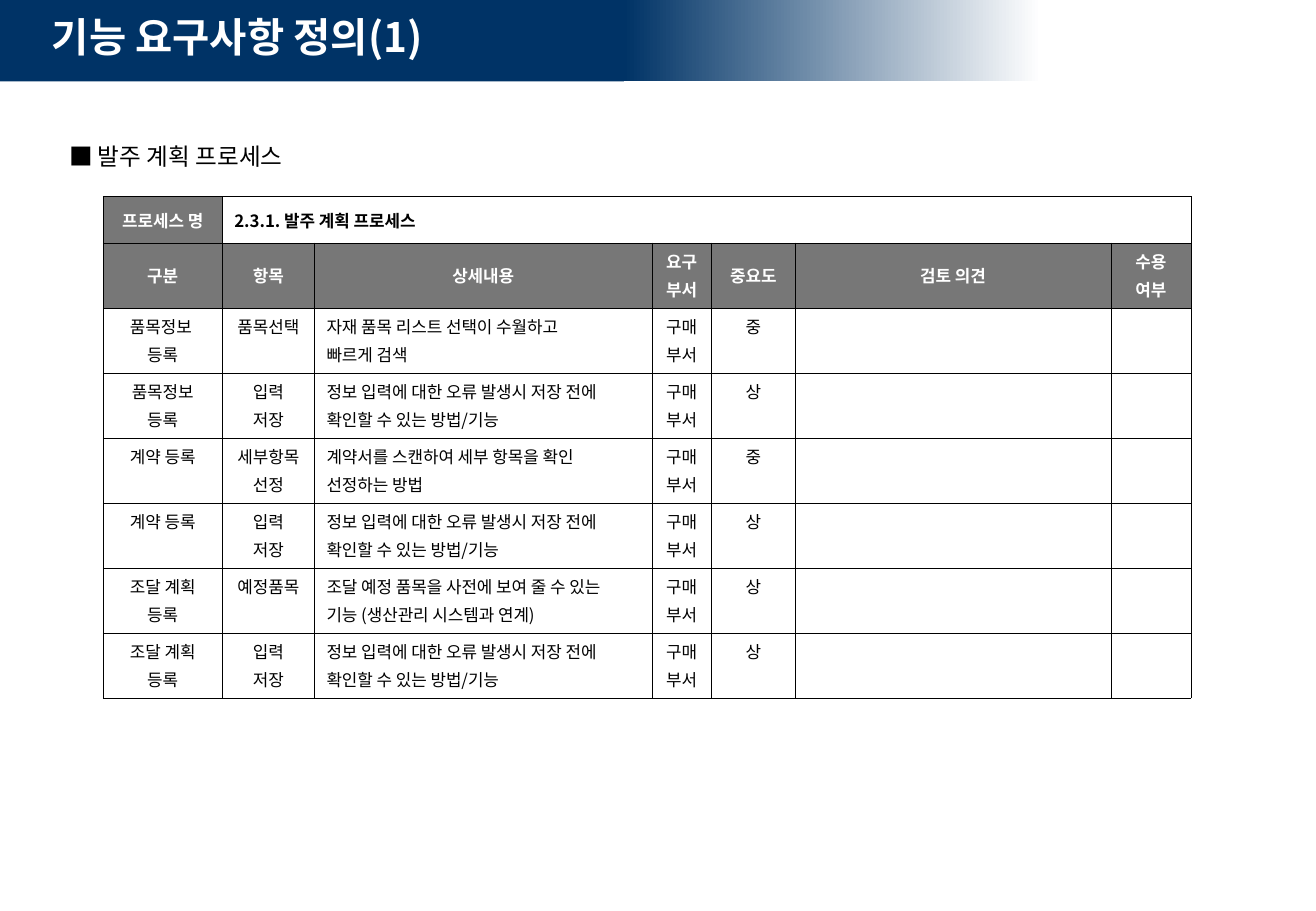
from lxml.etree import SubElement
from pptx import Presentation
from pptx.dml.color import RGBColor
from pptx.enum.shapes import MSO_SHAPE as SHAPE
from pptx.enum.text import MSO_ANCHOR as ANCHOR, PP_ALIGN as ALIGN
from pptx.oxml import parse_xml
from pptx.oxml.ns import nsdecls, qn
from pptx.util import Inches, Pt

NAVY = RGBColor(0x00, 0x33, 0x66)
GRAY = RGBColor(0x77, 0x77, 0x77)
WHITE = RGBColor(0xFF, 0xFF, 0xFF)
BLACK = RGBColor(0x00, 0x00, 0x00)
FONT = "Noto Sans CJK KR"

# Column widths and row heights, in hundredths of the slide
COLS = [9.04, 7.01, 25.65, 4.52, 6.37, 23.99, 6.09]
ROWS = [5.07] + [6.27] * 5 + [6.53] * 2
DETAIL, IMPORTANCE = 2, 4

PROCESS = ["프로세스 명", "2.3.1. 발주 계획 프로세스"]
HEADER = ["구분", "항목", "상세내용", "요구\n부서", "중요도", "검토 의견", "수용\n여부"]
SAVE = "입력\n저장"
CHECK = "정보 입력에 대한 오류 발생시 저장 전에\n확인할 수 있는 방법/기능"
DEPT = "구매\n부서"
REQUIREMENTS = [
    ["품목정보 \n등록", "품목선택", "자재 품목 리스트 선택이 수월하고\n빠르게 검색", DEPT, "중"],
    ["품목정보\n등록", SAVE, CHECK, DEPT, "상"],
    ["계약 등록", "세부항목\n선정", "계약서를 스캔하여 세부 항목을 확인\n선정하는 방법", DEPT, "중"],
    ["계약 등록", SAVE, CHECK, DEPT, "상"],
    ["조달 계획\n등록", "예정품목",
     "조달 예정 품목을 사전에 보여 줄 수 있는\n기능 (생산관리 시스템과 연계)", DEPT, "상"],
    ["조달 계획\n등록", SAVE, CHECK, DEPT, "상"],
]


class Page:
    """One slide measured on a grid of 100 columns by 100 rows."""

    def __init__(self, prs):
        self.s = prs.slides.add_slide(prs.slide_layouts[6])
        self.col = prs.slide_width / 100
        self.row = prs.slide_height / 100

    def box(self, x, y, w, h):
        return [round(v) for v in (x * self.col, y * self.row, w * self.col, h * self.row)]

    def fill_text(self, tf, text, size, color=BLACK, bold=False, align=ALIGN.LEFT, before=0, spacing=None):
        for i, line in enumerate(text.split("\n")):
            p = tf.add_paragraph() if i else tf.paragraphs[0]
            p.text = line
            p.alignment = align
            if i:
                p.space_before = Pt(before)
            if spacing:
                p.line_spacing = spacing
            f = p.font
            f.size, f.bold, f.name = Pt(size), bold, FONT
            f.color.rgb = color
            # East Asian typeface for the Korean text
            props = p._p.get_or_add_pPr().get_or_add_defRPr()
            SubElement(props, qn("a:ea")).set("typeface", FONT)

    def band(self, x, y, w, h, color, fade_to=None):
        sp = self.s.shapes.add_shape(SHAPE.RECTANGLE, *self.box(x, y, w, h))
        sp.shadow.inherit = False
        sp.line.fill.background()
        if fade_to is None:
            sp.fill.solid()
            sp.fill.fore_color.rgb = color
            return
        sp.fill.gradient()
        sp.fill.gradient_angle = 0
        for stop, position, c in zip(sp.fill.gradient_stops, (0, 1), (color, fade_to)):
            stop.position = position
            stop.color.rgb = c

    def text(self, x, y, w, h, text, size, **style):
        tf = self.s.shapes.add_textbox(*self.box(x, y, w, h)).text_frame
        tf.word_wrap = True
        tf.vertical_anchor = ANCHOR.MIDDLE
        self.fill_text(tf, text, size, **style)

    def table(self, x, y, cols, rows):
        frame = self.s.shapes.add_table(len(rows), len(cols), *self.box(x, y, sum(cols), sum(rows)))
        t = frame.table
        t.first_row = t.horz_banding = False
        for column, w in zip(t.columns, cols):
            column.width = round(w * self.col)
        for row, h in zip(t.rows, rows):
            row.height = round(h * self.row)
        return t

    def cell(self, cell, text, fill=None, anchor=ANCHOR.TOP, margin=0.1, **style):
        cell.margin_left = cell.margin_right = Inches(margin)
        cell.vertical_anchor = anchor
        if fill is None:
            cell.fill.background()
        else:
            cell.fill.solid()
            cell.fill.fore_color.rgb = fill
        self.fill_text(cell.text_frame, text, 10, before=2.5, **style)
        # Thin black borders
        props = cell._tc.get_or_add_tcPr()
        for i, side in enumerate(("lnL", "lnR", "lnT", "lnB")):
            props.insert(i, parse_xml(
                f'<a:{side} {nsdecls("a")} w="{Pt(0.45)}"><a:solidFill>'
                f'<a:srgbClr val="{BLACK}"/></a:solidFill></a:{side}>'))


def main():
    prs = Presentation()
    prs.slide_width, prs.slide_height = Inches(10.84), Inches(7.5)
    page = Page(prs)

    # Title band
    page.band(47.42, 0, 31.73, 8.93, NAVY, fade_to=WHITE)
    page.band(0, 0, 47.42, 8.93, NAVY)

    # Requirements table: process row, column heads, requirements
    t = page.table(7.84, 21.6, COLS, ROWS)
    t.cell(0, 1).merge(t.cell(0, len(COLS) - 1))
    head = dict(fill=GRAY, anchor=ANCHOR.MIDDLE, color=WHITE, bold=True, align=ALIGN.CENTER)
    name = dict(fill=WHITE, anchor=ANCHOR.MIDDLE, bold=True)
    for r, texts in enumerate([PROCESS, HEADER] + REQUIREMENTS):
        for c in range(len(COLS)):
            if r == 1 or (r, c) == (0, 0):
                style = head
            elif r == 0:
                style = name
            else:
                style = dict(align=ALIGN.LEFT if c == DETAIL else ALIGN.CENTER,
                             margin=0.04 if c == IMPORTANCE else 0.1)
            page.cell(t.cell(r, c), texts[c] if c < len(texts) else "", **style)

    # Title and section heading
    page.text(3.04, 0.67, 52.03, 6.67, "기능 요구사항 정의(1)", 24, color=WHITE, bold=True)
    page.text(4.34, 14.27, 87.08, 5.07, "■ 발주 계획 프로세스", 14, align=ALIGN.JUSTIFY, spacing=1.2)

    prs.save("out.pptx")


if __name__ == "__main__":
    main()
